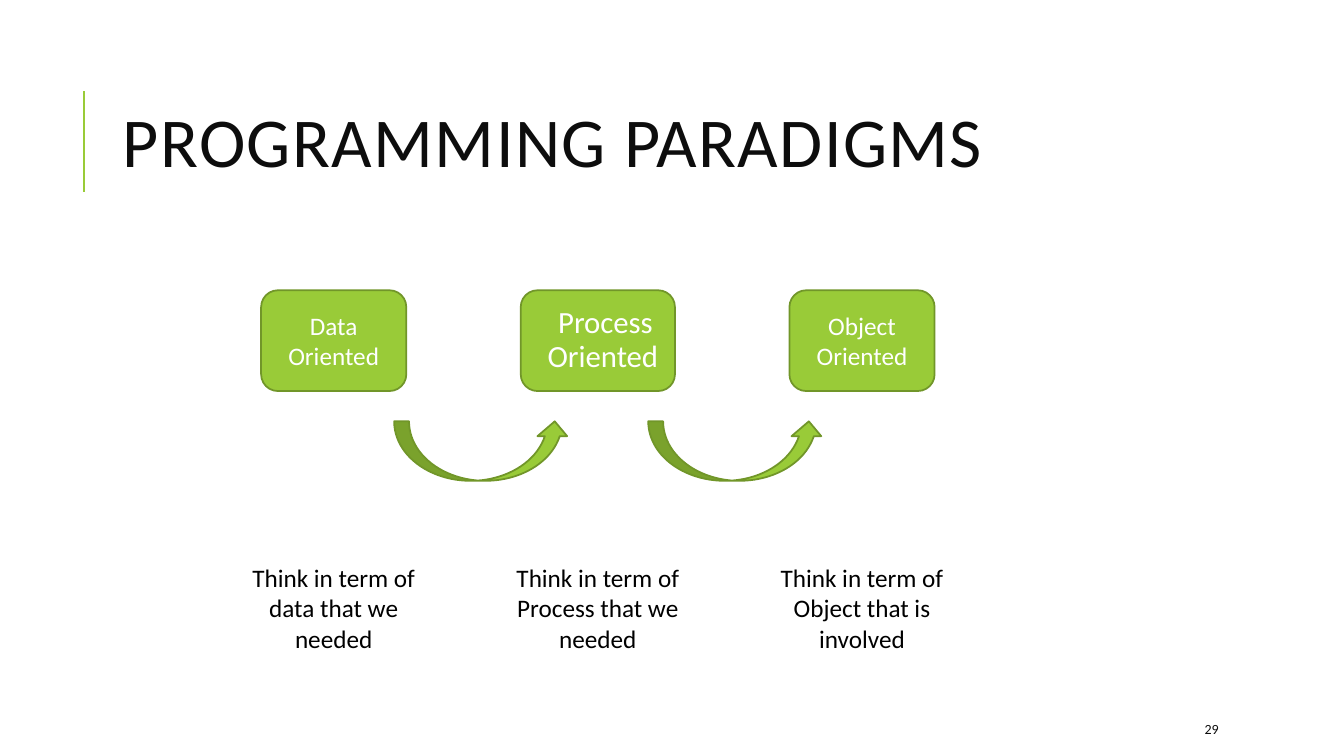
import pptx
import pptx.util
import pptx.dml.color
import pptx.enum.shapes
import pptx.enum.text
import pptx.oxml.ns
import lxml.etree
from dataclasses import dataclass

Inches = pptx.util.Inches
Pt = pptx.util.Pt
SHAPES = pptx.enum.shapes.MSO_SHAPE
ALIGN = pptx.enum.text.PP_ALIGN
ANCHOR = pptx.enum.text.MSO_ANCHOR

TITLE = "PROGRAMMING PARADIGMS"
PAGE_NUMBER = "29"
PARADIGMS = [
    {"label": "Data Oriented", "thought": "Think in term of data that we needed"},
    {"label": "Process Oriented", "thought": "Think in term of Process that we needed",
     "emphasis": True},
    {"label": "Object Oriented", "thought": "Think in term of Object that is involved"},
]


@dataclass(frozen=True)
class Theme:
    font: str = "Calibri"
    green: str = "99CB38"
    outline: str = "719629"
    heading: str = "0D0D0D"
    body: str = "000000"
    on_green: str = "FFFFFF"
    title_size: int = 50
    emphasis_size: int = 22
    body_size: int = 18
    number_size: int = 10
    rule_width: float = 1.5
    outline_width: float = 1.25


THEME = Theme()

# Layout, in inches
FIRST_CENTER, COLUMN_STEP = 3.31, 2.62
BOX_TOP, BOX_HEIGHT, BOX_WIDTH, EMPHASIS_WIDTH = 2.88, 1, 1.44, 1.53
ARROW_LEFT, ARROW_STEP, ARROW_TOP = 3.91, 2.52, 4.18
ARROW_WIDTH, ARROW_HEIGHT = 1.74, 0.59
THOUGHT_TOP, THOUGHT_WIDTH, THOUGHT_HEIGHT = 5.53, 1.86, 1.01


def rgb(color):
    return pptx.dml.color.RGBColor.from_string(color)


def write(holder, text, size, color, align=ALIGN.LEFT, anchor=ANCHOR.MIDDLE):
    frame = holder.text_frame
    frame.word_wrap = True
    frame.vertical_anchor = anchor
    paragraph = frame.paragraphs[0]
    paragraph.alignment = align
    run = paragraph.add_run()
    run.text = text
    run.font.name = THEME.font
    run.font.size = Pt(size)
    run.font.color.rgb = rgb(color)
    return paragraph


def add_text(slide, area, *style):
    holder = slide.shapes.add_textbox(*map(Inches, area))
    return holder, write(holder, *style)


def add_green(slide, kind, *area):
    shape = slide.shapes.add_shape(kind, *map(Inches, area))
    shape.shadow.inherit = False
    shape.fill.solid()
    shape.fill.fore_color.rgb = rgb(THEME.green)
    shape.line.color.rgb = rgb(THEME.outline)
    shape.line.width = Pt(THEME.outline_width)
    return shape


def emphasize(box, paragraph):
    """Give the box tight margins and its text a blank hanging bullet."""
    frame = box.text_frame
    frame.margin_left = frame.margin_right = Inches(0.05)
    frame.margin_top = frame.margin_bottom = Inches(0.05)
    paragraph.line_spacing = 0.9
    paragraph.space_before = Pt(12)
    paragraph.space_after = Pt(2)
    properties = paragraph._p.get_or_add_pPr()
    properties.set("marL", str(Inches(0.1)))
    properties.set("indent", str(Inches(-0.1)))
    qn = pptx.oxml.ns.qn
    bullet_color = lxml.etree.SubElement(properties, qn("a:buClr"))
    lxml.etree.SubElement(bullet_color, qn("a:srgbClr"), val=THEME.green)
    lxml.etree.SubElement(properties, qn("a:buChar"), char=" ")


def add_heading(slide):
    rule = slide.shapes.add_connector(
        pptx.enum.shapes.MSO_CONNECTOR.STRAIGHT,
        Inches(0.83), Inches(1.9), Inches(0.83), Inches(0.9))
    rule.line.color.rgb = rgb(THEME.green)
    rule.line.width = Pt(THEME.rule_width)
    lxml.etree.SubElement(rule._element.spPr, pptx.oxml.ns.qn("a:effectLst"))
    _, title = add_text(slide, (1.12, 0.64, 10.63, 1.64),
                        TITLE, THEME.title_size, THEME.heading)
    title.line_spacing = 0.8
    title.runs[0].font._element.set("spc", "100")


def add_paradigm(slide, center, label, thought, emphasis=False):
    width = EMPHASIS_WIDTH if emphasis else BOX_WIDTH
    box = add_green(slide, SHAPES.ROUNDED_RECTANGLE,
                    center - width / 2, BOX_TOP, width, BOX_HEIGHT)
    size = THEME.emphasis_size if emphasis else THEME.body_size
    paragraph = write(box, label, size, THEME.on_green, ALIGN.CENTER)
    if emphasis:
        emphasize(box, paragraph)
    area = (center - THOUGHT_WIDTH / 2, THOUGHT_TOP, THOUGHT_WIDTH, THOUGHT_HEIGHT)
    caption, _ = add_text(slide, area, thought, THEME.body_size, THEME.body,
                          ALIGN.CENTER, ANCHOR.TOP)
    caption.text_frame.auto_size = pptx.enum.text.MSO_AUTO_SIZE.SHAPE_TO_FIT_TEXT


def main():
    deck = pptx.Presentation()
    deck.slide_width, deck.slide_height = Inches(13.33), Inches(7.5)
    slide = deck.slides.add_slide(deck.slide_layouts[6])
    add_heading(slide)
    for column, paradigm in enumerate(PARADIGMS):
        add_paradigm(slide, FIRST_CENTER + column * COLUMN_STEP, **paradigm)
    for gap in range(len(PARADIGMS) - 1):
        add_green(slide, SHAPES.CURVED_UP_ARROW, ARROW_LEFT + gap * ARROW_STEP,
                  ARROW_TOP, ARROW_WIDTH, ARROW_HEIGHT)
    add_text(slide, (11.85, 7.08, 1.06, 0.3),
             PAGE_NUMBER, THEME.number_size, THEME.heading)
    deck.save("out.pptx")


if __name__ == "__main__":
    main()
